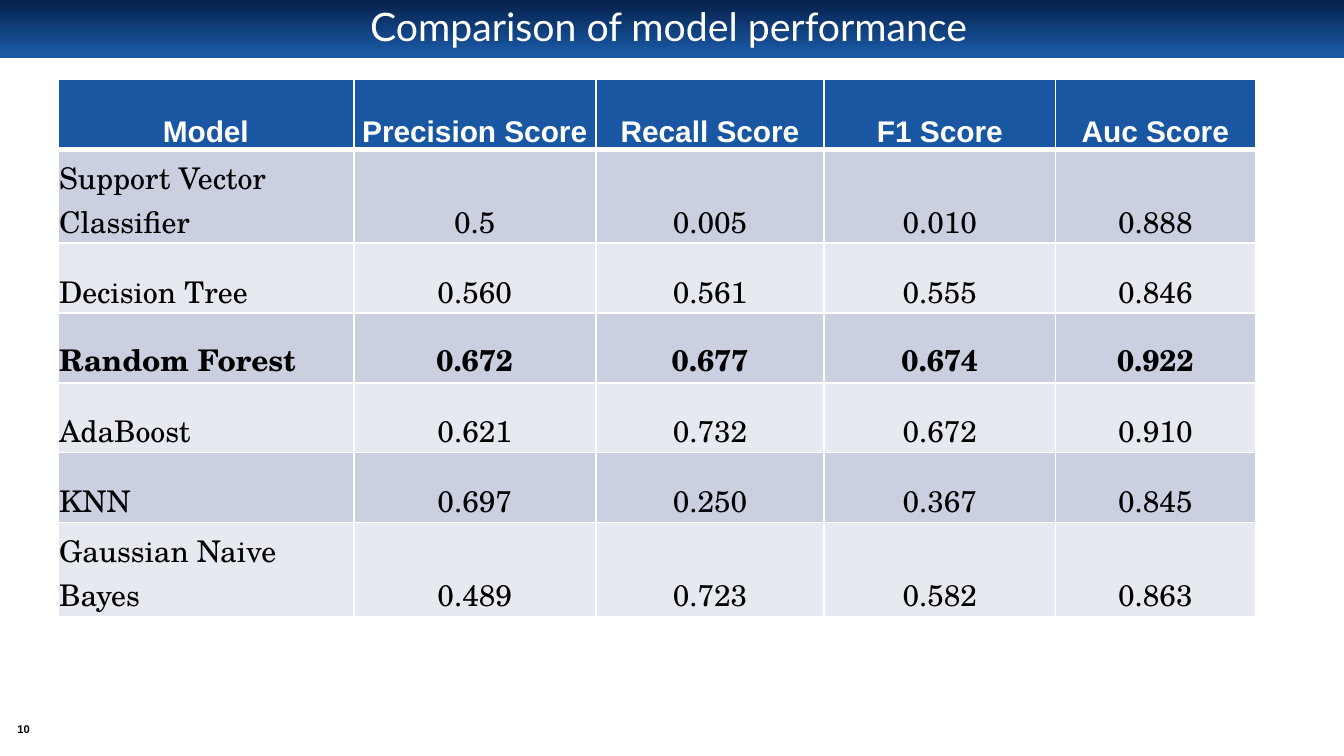
from lxml import etree
from pptx import Presentation
from pptx.dml.color import RGBColor
from pptx.enum.shapes import MSO_SHAPE
from pptx.enum.text import MSO_ANCHOR, MSO_AUTO_SIZE, PP_ALIGN
from pptx.oxml.ns import qn
from pptx.util import Pt

RECT = MSO_SHAPE.RECTANGLE
MIDDLE, BOTTOM = MSO_ANCHOR.MIDDLE, MSO_ANCHOR.BOTTOM
LEFT, CENTER = PP_ALIGN.LEFT, PP_ALIGN.CENTER
NO_FIT = MSO_AUTO_SIZE.NONE

COLORS = {
    "navy": "052049",
    "blue": "1957A3",
    "dark": "CBD0E0",
    "light": "E7E9F0",
    "white": "FFFFFF",
    "black": "000000",
}
SERIF = "TeX Gyre Schola"
WIDTHS = [158.5, 129.7, 122.4, 123.8, 107.2]
HEIGHTS = [37.4, 50.4, 37.4, 37.4, 37.4, 37.4, 50.4]
BEST = "Random Forest"
SCORES = [
    ["Model", "Precision Score", "Recall Score", "F1 Score", "Auc Score"],
    ["Support Vector Classifier", "0.5", "0.005", "0.010", "0.888"],
    ["Decision Tree", "0.560", "0.561", "0.555", "0.846"],
    [BEST, "0.672", "0.677", "0.674", "0.922"],
    ["AdaBoost", "0.621", "0.732", "0.672", "0.910"],
    ["KNN", "0.697", "0.250", "0.367", "0.845"],
    ["Gaussian Naive Bayes", "0.489", "0.723", "0.582", "0.863"],
]


def color(name):
    return RGBColor.from_string(COLORS[name])


def write(frame, text, size=16, font="Arial", tint="black", bold=False,
          align=CENTER, space=None):
    frame.word_wrap = True
    para = frame.paragraphs[0]
    para.alignment = align
    para.line_spacing = space
    run = para.add_run()
    run.text = text
    run.font.size = Pt(size)
    run.font.name = font
    run.font.bold = bold
    run.font.color.rgb = color(tint)


def inset(item, side, top, base):
    item.margin_left = item.margin_right = Pt(side)
    item.margin_top, item.margin_bottom = Pt(top), Pt(base)


def place(shape, left, top, width, height):
    shape.left, shape.top = Pt(left), Pt(top)
    shape.width, shape.height = Pt(width), Pt(height)


def add_bar(slide):
    bar = slide.shapes.add_shape(RECT, 0, 0, Pt(720), Pt(31))
    bar.shadow.inherit = False
    bar.line.fill.background()
    bar.fill.gradient()
    bar.fill.gradient_angle = 270
    for stop, name, spot in zip(bar.fill.gradient_stops, ("navy", "blue"), (0, 0.9)):
        stop.color.rgb = color(name)
        stop.position = spot


def add_title(slide, text):
    title = slide.shapes.title
    tree = title._element.getparent()
    tree.append(title._element)
    place(title, 35.3, 3.6, 645.8, 23.8)
    frame = title.text_frame
    frame.auto_size = NO_FIT
    frame.vertical_anchor = MIDDLE
    inset(frame, 5, 2.9, 2.9)
    write(frame, text, size=21, font="Lato", tint="white", space=0.9)


def add_page(slide, text):
    box = slide.shapes.add_textbox(Pt(4.3), Pt(385.2), Pt(16.6), Pt(10.8))
    frame = box.text_frame
    frame.vertical_anchor = MIDDLE
    inset(frame, 0, 0, 0)
    write(frame, text, size=6, bold=True)


def edge(cell, top, base):
    props = cell._tc.get_or_add_tcPr()
    sides = {"a:lnL": 1, "a:lnR": 1, "a:lnT": top, "a:lnB": base}
    for spot, (tag, width) in enumerate(sides.items()):
        line = etree.Element(qn(tag), w=str(Pt(width)))
        fill = etree.SubElement(line, qn("a:solidFill"))
        etree.SubElement(fill, qn("a:srgbClr"), val=COLORS["white"])
        props.insert(spot, line)


def fill_cell(cell, text, row, col):
    head = row == 0
    cell.vertical_anchor = BOTTOM
    inset(cell, 0.7, 0.7, 0)
    cell.fill.solid()
    cell.fill.fore_color.rgb = color("blue" if head else "dark" if row % 2 else "light")
    edge(cell, top=3 if row == 1 else 1, base=3 if head else 1)
    write(cell.text_frame, text,
          font="Arial" if head else SERIF,
          tint="white" if head else "black",
          bold=head or SCORES[row][0] == BEST,
          align=CENTER if head or col else LEFT)


def add_scores(slide):
    frame = slide.shapes.add_table(len(SCORES), len(WIDTHS), Pt(31), Pt(42.5),
                                   Pt(sum(WIDTHS)), Pt(sum(HEIGHTS)))
    table = frame.table
    for column, width in zip(table.columns, WIDTHS):
        column.width = Pt(width)
    for row, (line, height) in enumerate(zip(SCORES, HEIGHTS)):
        table.rows[row].height = Pt(height)
        for col, text in enumerate(line):
            fill_cell(table.cell(row, col), text, row, col)


def main():
    deck = Presentation()
    deck.slide_width, deck.slide_height = Pt(720), Pt(405)
    slide = deck.slides.add_slide(deck.slide_layouts[5])
    add_bar(slide)
    add_page(slide, "10")
    add_title(slide, "Comparison of model performance")
    add_scores(slide)
    deck.save("out.pptx")


if __name__ == "__main__":
    main()
